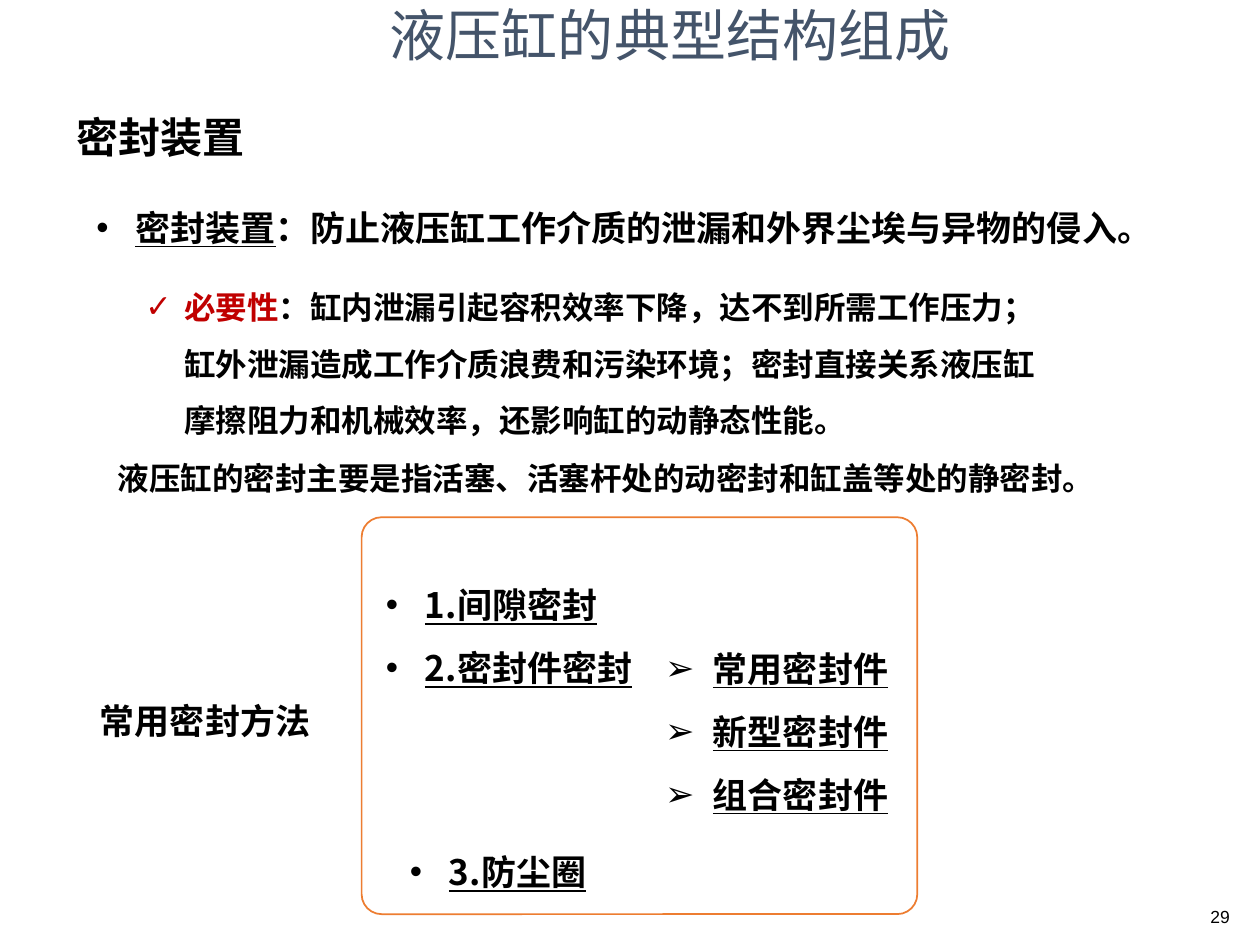
from dataclasses import dataclass

from lxml import etree
from pptx import Presentation
from pptx.dml.color import RGBColor
from pptx.enum.shapes import MSO_SHAPE
from pptx.enum.text import MSO_ANCHOR, MSO_AUTO_SIZE, PP_ALIGN
from pptx.oxml.ns import qn
from pptx.util import Inches, Pt

LEFT, CENTER, RIGHT = PP_ALIGN.LEFT, PP_ALIGN.CENTER, PP_ALIGN.RIGHT
TOP, MIDDLE, BOTTOM = MSO_ANCHOR.TOP, MSO_ANCHOR.MIDDLE, MSO_ANCHOR.BOTTOM
RECTANGLE, ROUNDED_RECTANGLE = MSO_SHAPE.RECTANGLE, MSO_SHAPE.ROUNDED_RECTANGLE


@dataclass(frozen=True)
class Theme:
    font: str = "Noto Sans CJK SC"
    number_font: str = "Arial"
    black: str = "000000"
    white: str = "FFFFFF"
    title: str = "44546A"
    emphasis: str = "C00000"
    frame: str = "ED7D31"
    title_size: int = 32
    heading_size: int = 24
    list_size: int = 20
    text_size: int = 18
    number_size: int = 10
    line_spacing: float = 1.5


THEME = Theme()
COLUMNS, ROWS = 100, 75
SLIDE_WIDTH, SLIDE_HEIGHT = Inches(10), Inches(7.5)

# Content: a paragraph is a list of (text, style) runs.
PLAIN, UNDERLINED, EMPHASIS = "plain", "underlined", "emphasis"
TITLE = "液压缸的典型结构组成"
HEADING = "密封装置"
PAGE_NUMBER = "29"
DEFINITION = [[("密封装置", UNDERLINED),
               ("：防止液压缸工作介质的泄漏和外界尘埃与异物的侵入。", PLAIN)]]
NECESSITY = [[("必要性", EMPHASIS),
              ("：缸内泄漏引起容积效率下降，达不到所需工作压力；"
               "缸外泄漏造成工作介质浪费和污染环境；"
               "密封直接关系液压缸摩擦阻力和机械效率，还影响缸的动静态性能。", PLAIN)]]
SCOPE = "液压缸的密封主要是指活塞、活塞杆处的动密封和缸盖等处的静密封。"
METHODS_LABEL = "常用密封方法"
METHODS = ["1.间隙密封", "2.密封件密封"]
SEAL_TYPES = ["常用密封件", "新型密封件", "组合密封件"]
LAST_METHOD = ["3.防尘圈"]

# Places on the grid: column, row, columns wide, rows high.
PLACES = {
    "title": (17.8, -0.44, 70.8, 6.8),
    "heading": (5.1, 8.35, 15.5, 5),
    "definition": (6.65, 14.2, 86, 6.1),
    "necessity": (10.55, 20.85, 74.1, 13.9),
    "scope": (8.35, 34.4, 80.4, 5.6),
    "methods label": (6.95, 53.3, 22, 6.1),
    "seal types": (51.8, 49.2, 28.4, 16.2),
    "methods": (29.65, 44.15, 28.4, 11.1),
    "last method": (31.55, 65.35, 28.4, 5.3),
    "frame": (28.7, 41.05, 44.1, 31.5),
    "page number": (94.6, 70.1, 4, 4),
}


def grid(name):
    column, row, width, height = PLACES[name]
    cell_width, cell_height = SLIDE_WIDTH / COLUMNS, SLIDE_HEIGHT / ROWS
    return (int(column * cell_width), int(row * cell_height),
            int(width * cell_width), int(height * cell_height))


def place(shape, name):
    shape.left, shape.top, shape.width, shape.height = grid(name)
    return shape


def underlined(items):
    return [[(item, UNDERLINED)] for item in items]


def set_bullet(paragraph, character, indent):
    properties = paragraph._p.get_or_add_pPr()
    properties.set("marL", str(Inches(indent)))
    properties.set("indent", str(-Inches(indent)))
    etree.SubElement(properties, qn("a:buFont")).set("typeface", THEME.number_font)
    etree.SubElement(properties, qn("a:buChar")).set("char", character)


def format_run(run, size, color, bold, font):
    run.font.size, run.font.bold, run.font.name = Pt(size), bold, font
    run.font.color.rgb = RGBColor.from_string(color)
    etree.SubElement(run._r.get_or_add_rPr(), qn("a:ea")).set("typeface", font)


def fill_text(shape, paragraphs, size, color=THEME.black, bold=True, font=THEME.font,
              bullet=None, indent=0.31, spacing=THEME.line_spacing,
              align=LEFT, anchor=TOP, wrap=True, grow=True):
    """Write a string or a list of styled paragraphs into a shape."""
    if isinstance(paragraphs, str):
        paragraphs = [[(paragraphs, PLAIN)]]
    frame = shape.text_frame
    frame.word_wrap, frame.vertical_anchor = wrap, anchor
    frame.auto_size = MSO_AUTO_SIZE.SHAPE_TO_FIT_TEXT if grow else MSO_AUTO_SIZE.NONE
    for index, runs in enumerate(paragraphs):
        paragraph = frame.add_paragraph() if index else frame.paragraphs[0]
        if bullet:
            set_bullet(paragraph, bullet, indent)
        paragraph.alignment, paragraph.line_spacing = align, spacing
        paragraph.space_before = Pt(0)
        for text, style in runs:
            run = paragraph.add_run()
            run.text = text
            format_run(run, size, THEME.emphasis if style == EMPHASIS else color, bold, font)
            run.font.underline = style == UNDERLINED


def add_text(slide, name, paragraphs, size, **options):
    fill_text(slide.shapes.add_textbox(*grid(name)), paragraphs, size, **options)


def add_box(slide, name, kind, fill=None, line=None):
    box = slide.shapes.add_shape(kind, *grid(name))
    box.shadow.inherit = False
    if fill:
        box.fill.solid()
        box.fill.fore_color.rgb = RGBColor.from_string(fill)
    else:
        box.fill.background()
    if line:
        box.line.color.rgb = RGBColor.from_string(line)
        box.line.width = Pt(1)
    else:
        box.line.fill.background()
    return box


def main():
    presentation = Presentation()
    presentation.slide_width, presentation.slide_height = SLIDE_WIDTH, SLIDE_HEIGHT
    slide = presentation.slides.add_slide(presentation.slide_layouts[1])

    fill_text(place(slide.shapes.title, "title"), TITLE, THEME.title_size, color=THEME.title,
              bold=False, spacing=1.0, align=CENTER, grow=False)
    fill_text(place(slide.placeholders[1], "definition"), DEFINITION, THEME.list_size,
              bullet="•")
    add_text(slide, "heading", HEADING, THEME.heading_size, spacing=1.0, wrap=False)
    add_text(slide, "necessity", NECESSITY, THEME.text_size, bullet="✓")
    add_text(slide, "scope", SCOPE, THEME.text_size)
    fill_text(add_box(slide, "methods label", RECTANGLE, fill=THEME.white),
              METHODS_LABEL, THEME.list_size, anchor=MIDDLE)
    add_text(slide, "seal types", underlined(SEAL_TYPES), THEME.list_size,
             bullet="➢", indent=0.38)
    for name, items in (("methods", METHODS), ("last method", LAST_METHOD)):
        add_text(slide, name, underlined(items), THEME.list_size, bullet="•")
    frame = add_box(slide, "frame", ROUNDED_RECTANGLE, line=THEME.frame)
    frame.adjustments[0] = 0.05
    add_text(slide, "page number", PAGE_NUMBER, THEME.number_size, bold=False,
             font=THEME.number_font, spacing=1.0, align=RIGHT, anchor=BOTTOM, grow=False)
    presentation.save("out.pptx")


if __name__ == "__main__":
    main()
